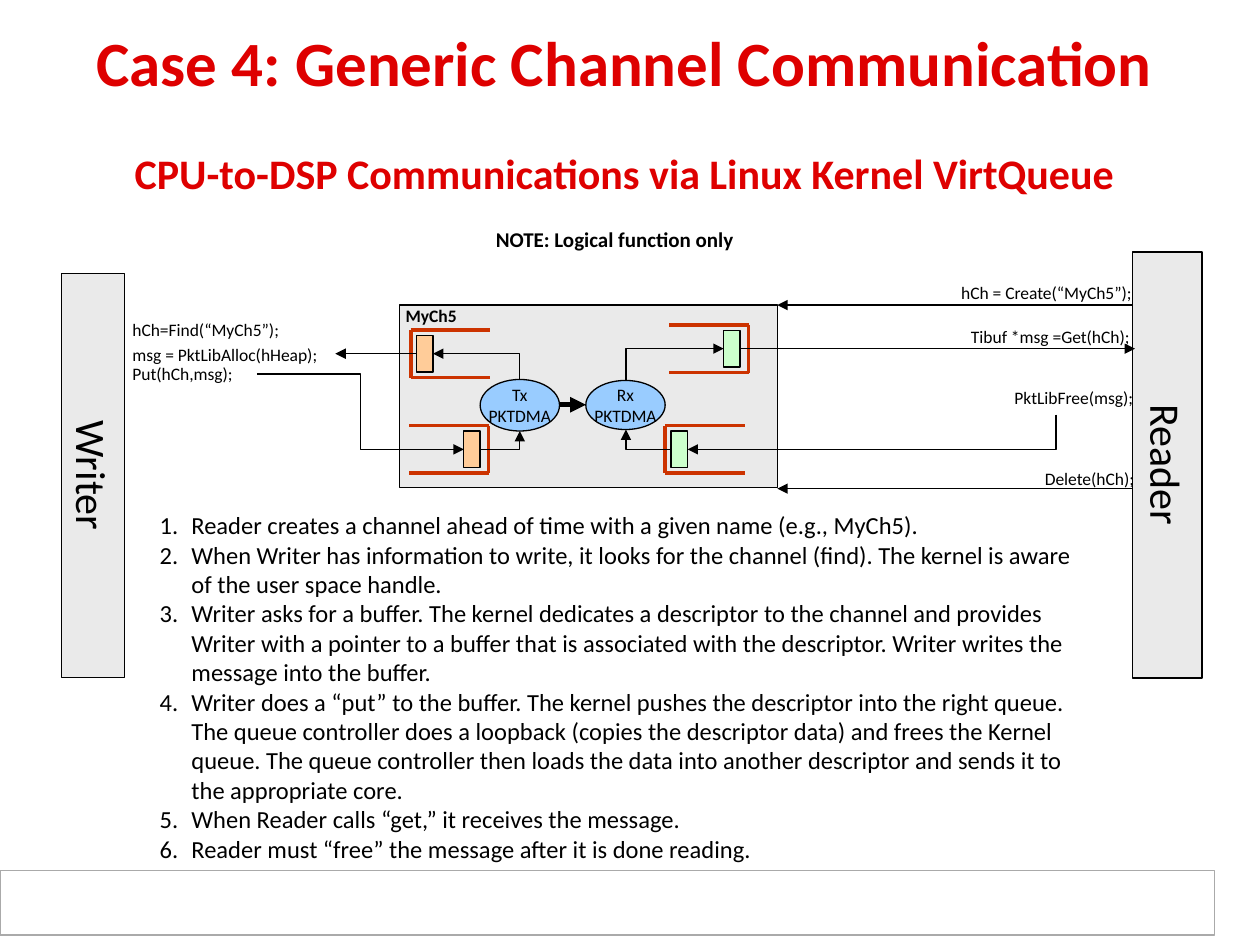
from lxml.etree import SubElement
from pptx import Presentation
from pptx.dml.color import RGBColor
from pptx.enum.shapes import MSO_CONNECTOR as Connector, MSO_SHAPE as Shape
from pptx.enum.text import MSO_ANCHOR as Anchor, PP_ALIGN as Align
from pptx.oxml.ns import qn
from pptx.util import Cm, Pt

BLACK = RGBColor(0x00, 0x00, 0x00)
WHITE = RGBColor(0xFF, 0xFF, 0xFF)
RED = RGBColor(0xDE, 0x00, 0x00)
PANEL = RGBColor(0xEA, 0xEA, 0xEA)
BORDER = RGBColor(0xAA, 0xAA, 0xAA)
BLUE = RGBColor(0x99, 0xCC, 0xFF)
GREEN = RGBColor(0xCC, 0xFF, 0xCC)
ORANGE = RGBColor(0xFF, 0xCC, 0x99)
RUST = RGBColor(0xCC, 0x33, 0x00)

STEPS = [
    "Reader creates a channel ahead of time with a given name (e.g., MyCh5).",
    "When Writer has information to write, it looks for the channel (find). "
    "The kernel is aware of the user space handle.",
    "Writer asks for a buffer. The kernel dedicates a descriptor to the channel and provides "
    "Writer with a pointer to a buffer that is associated with the descriptor. "
    "Writer writes the message into the buffer.",
    "Writer does a “put” to the buffer. The kernel pushes the descriptor into the right queue. "
    "The queue controller does a loopback (copies the descriptor data) and frees the Kernel queue. "
    "The queue controller then loads the data into another descriptor and sends it to "
    "the appropriate core.",
    "When Reader calls “get,” it receives the message.",
    "Reader must “free” the message after it is done reading.",
]


def write_text(frame, lines, size=10, color=BLACK, bold=False, align=Align.LEFT,
               anchor=Anchor.TOP, inset=None, wrap=True, numbered=False):
    frame.word_wrap = wrap
    frame.vertical_anchor = anchor
    if inset is not None:
        horizontal, vertical = inset
        frame.margin_left = frame.margin_right = Cm(horizontal)
        frame.margin_top = frame.margin_bottom = Cm(vertical)
    for index, line in enumerate(lines):
        paragraph = frame.paragraphs[0] if index == 0 else frame.add_paragraph()
        paragraph.alignment = align
        if numbered:
            properties = paragraph._p.get_or_add_pPr()
            properties.set("marL", str(Cm(0.64)))
            properties.set("indent", str(-Cm(0.64)))
            SubElement(properties, qn("a:buFont"), typeface="+mj-lt")
            SubElement(properties, qn("a:buAutoNum"), type="arabicPeriod")
        run = paragraph.add_run()
        run.text = line
        run.font.name = "Calibri"
        run.font.size = Pt(size)
        run.font.bold = bold
        run.font.color.rgb = color


class Diagram:
    line_width = 0.75
    queue_width, queue_height = 1.6, 0.96
    buffer_width, buffer_height = 0.33, 0.74

    def __init__(self, slide):
        self.slide = slide

    def text(self, left, top, width, height, *lines, **style):
        box = self.slide.shapes.add_textbox(Cm(left), Cm(top), Cm(width), Cm(height))
        write_text(box.text_frame, lines, **style)
        return box

    def box(self, left, top, width, height, fill, *lines, kind=Shape.RECTANGLE,
            border=BLACK, vertical=False, **style):
        shape = self.slide.shapes.add_shape(kind, Cm(left), Cm(top), Cm(width), Cm(height))
        shape.shadow.inherit = False
        shape.fill.solid()
        shape.fill.fore_color.rgb = fill
        shape.line.color.rgb = border
        shape.line.width = Pt(self.line_width)
        if lines:
            write_text(shape.text_frame, lines, wrap=False, **style)
        if vertical:
            shape.text_frame._txBody.bodyPr.set("vert", "vert")
        return shape

    def line(self, begin, end, kind=Connector.STRAIGHT, color=BLACK, width=None, arrow=True):
        connector = self.slide.shapes.add_connector(kind, *map(Cm, begin + end))
        connector.line.color.rgb = color
        connector.line.width = Pt(width or self.line_width)
        if arrow:
            SubElement(connector.line._get_or_add_ln(), qn("a:tailEnd"), type="triangle")
        SubElement(connector._element.spPr, qn("a:effectLst"))
        return connector

    def corner(self, begin, end, vertical_first=False):
        """Arrow with one right-angle bend; a quarter turn makes it leave vertically."""
        if vertical_first:
            (x1, y1), (x2, y2) = begin, end
            middle_x, middle_y = (x1 + x2) / 2, (y1 + y2) / 2
            half_x, half_y = (x2 - x1) / 2, (y2 - y1) / 2
            begin = (middle_x - half_y, middle_y + half_x)
            end = (middle_x + half_y, middle_y - half_x)
        connector = self.line(begin, end, Connector.ELBOW)
        properties = connector._element.spPr
        properties.find(qn("a:prstGeom")).set("prst", "bentConnector2")
        if vertical_first:
            properties.find(qn("a:xfrm")).set("rot", "5400000")

    def queue(self, left, top, closed_right, fill):
        """Three-sided queue holding one buffer by its closed side; returns the buffer."""
        right, bottom = left + self.queue_width, top + self.queue_height
        side = right if closed_right else left
        for begin, end in (((left, top), (right, top)),
                           ((left, bottom), (right, bottom)),
                           ((side, bottom), (side, top))):
            self.line(begin, end, color=RUST, width=2, arrow=False)
        buffer_left = left + (1.1 if closed_right else 0.12)
        return self.box(buffer_left, top + 0.11, self.buffer_width, self.buffer_height, fill)


def main():
    presentation = Presentation()
    presentation.slide_width, presentation.slide_height = Cm(25.4), Cm(19.05)
    diagram = Diagram(presentation.slides.add_slide(presentation.slide_layouts[6]))

    # Footer frame, title and note
    diagram.box(0, 17.55, 24.49, 1.3, WHITE, border=BORDER)
    title = diagram.text(0.84, 0, 23.5, 4.47, "Case 4: Generic Channel Communication",
                         "CPU-to-DSP Communications via Linux Kernel VirtQueue",
                         size=36, color=RED, bold=True, align=Align.CENTER, anchor=Anchor.MIDDLE)
    subtitle = title.text_frame.paragraphs[1]
    subtitle.space_before = Pt(28)
    subtitle.runs[0].font.size = Pt(24)
    diagram.text(9.53, 4.45, 5.51, 0.76, "NOTE: Logical function only",
                 size=12, bold=True, align=Align.RIGHT)

    # Reader, Writer and channel
    for name, left, top, width, height in (("Reader", 22.83, 5.08, 1.4, 8.59),
                                           ("Writer", 1.24, 5.51, 1.27, 8.15)):
        diagram.box(left, top, width, height, PANEL, name, vertical=True, size=24,
                    align=Align.CENTER, anchor=Anchor.MIDDLE, inset=(0, 0))
    diagram.box(8.05, 6.15, 7.62, 3.68, PANEL, "MyCh5", bold=True, inset=(0.13, 0))

    # Queues with their buffers, and the two engines
    get_buffer = diagram.queue(13.49, 6.55, True, GREEN)
    diagram.queue(13.41, 8.58, False, GREEN)
    diagram.queue(8.25, 8.58, True, ORANGE)
    alloc_buffer = diagram.queue(8.28, 6.65, False, ORANGE)
    for name, left, top, height in (("Tx", 9.68, 7.65, 1.04), ("Rx", 11.81, 7.67, 0.99)):
        diagram.box(left, top, 1.6, height, BLUE, name, "PKTDMA", kind=Shape.OVAL,
                    align=Align.CENTER, anchor=Anchor.MIDDLE)

    # Straight arrows
    diagram.line((22.83, 6.15), (15.67, 6.15))
    diagram.line((22.83, 9.85), (15.67, 9.85))
    diagram.line((11.28, 8.16), (11.81, 8.16), width=3)
    diagram.line((14.92, 7.03), (22.88, 7.03)).begin_connect(get_buffer, 3)
    diagram.line((8.4, 7.13), (6.76, 7.13)).begin_connect(alloc_buffer, 1)

    # Bent arrows
    diagram.line((5.18, 7.54), (9.35, 9.06), Connector.ELBOW)
    diagram.corner((9.68, 9.06), (10.48, 8.69))
    diagram.corner((13.53, 9.06), (12.62, 8.66))
    diagram.corner((10.48, 7.65), (8.73, 7.13), vertical_first=True)
    diagram.corner((12.62, 7.67), (14.59, 7.03), vertical_first=True)
    diagram.corner((21.29, 8.36), (13.86, 9.06), vertical_first=True)

    # Calls on the Writer side, then on the Reader side
    for call, top, width in (("hCh=Find(“MyCh5”);", 6.3, 4.24),
                             ("msg = PktLibAlloc(hHeap);", 6.81, 4.22),
                             ("Put(hCh,msg);", 7.19, 2.64)):
        diagram.text(2.54, top, width, 0.69, call, anchor=Anchor.MIDDLE, inset=(0.13, 0.13))
    for call, left, top, width in (("hCh = Create(“MyCh5”);", 18.39, 5.56, 4.67),
                                   ("Tibuf *msg =Get(hCh);", 18.57, 6.45, 4.45),
                                   ("PktLibFree(msg);", 19.48, 7.67, 3.61),
                                   ("Delete(hCh);", 20.52, 9.32, 2.59)):
        diagram.text(left, top, width, 0.69, call, align=Align.RIGHT)

    # Numbered steps
    diagram.text(2.97, 10.16, 19.25, 7.44, *STEPS, size=14, numbered=True)

    presentation.save("out.pptx")


if __name__ == "__main__":
    main()
